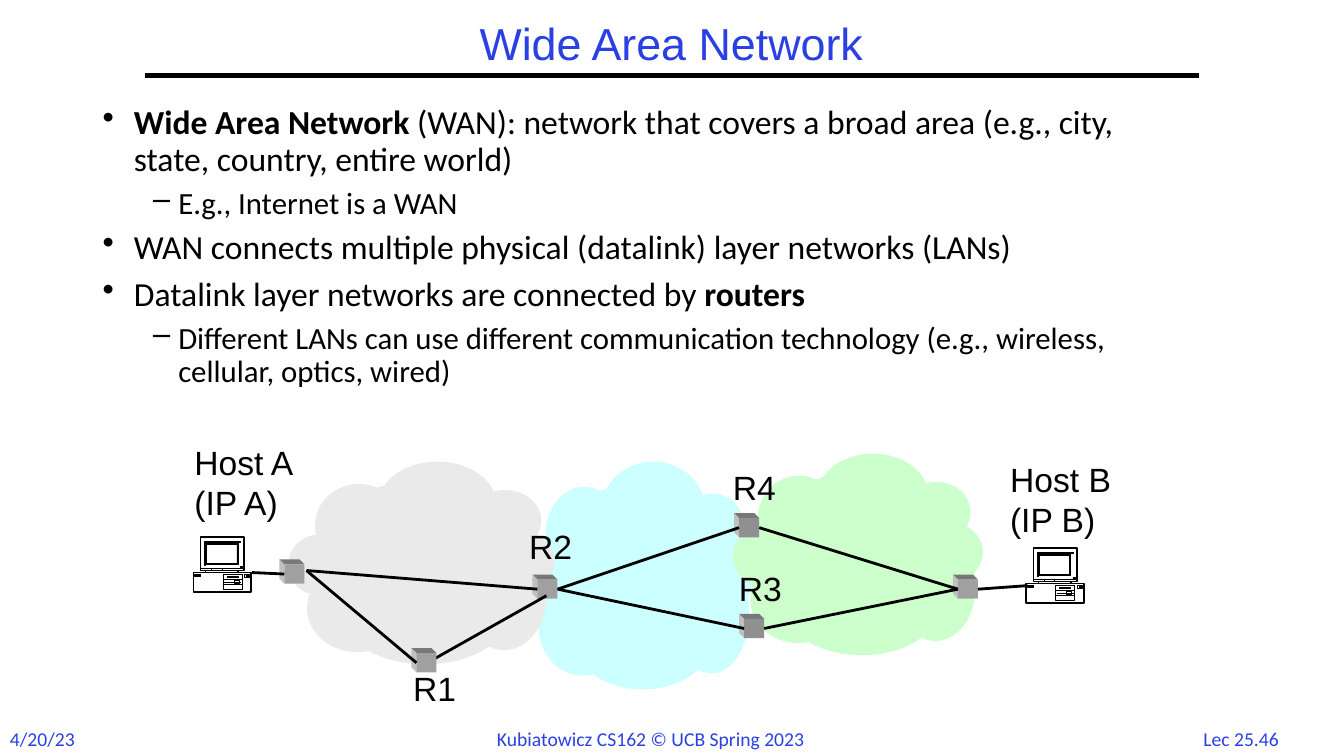
import pptx
import pptx.util
import pptx.dml.color
import pptx.enum.shapes
import pptx.enum.text
import pptx.oxml.ns
from dataclasses import dataclass
from lxml import etree

Inches = pptx.util.Inches
Pt = pptx.util.Pt
Kind = pptx.enum.shapes.MSO_SHAPE
Align = pptx.enum.text.PP_ALIGN
qn = pptx.oxml.ns.qn


@dataclass(frozen=True)
class Theme:
    blue: str = "2A40E2"
    black: str = "000000"
    white: str = "FFFFFF"
    gray: str = "EAEAEA"
    cyan: str = "CCFFFF"
    green: str = "CCFFCC"
    front: str = "A0A0A0"
    shade: str = "909090"
    top: str = "787878"
    side: str = "C0C0C0"
    head: int = 32
    label: int = 24
    levels: tuple = (24, 22)
    foot: int = 14
    sans: str = "Arial"
    text: str = "Calibri"


# Ellipses of a cloud as fractions of its box: left, top, width, height
PUFFS = [(.34, 0, .44, .41), (.1, .11, .33, .41), (0, .36, .23, .3),
         (.07, .51, .38, .43), (.22, .57, .59, .43), (.68, .14, .27, .3),
         (.68, .33, .32, .32), (.65, .4, .32, .53), (.07, .09, .89, .89)]


def box(left, top, right, base):
    return [(left, base), (right, base), (right, top), (left, top)]


# Parts of a computer, in hundredths of an inch from its corner
CASE = [[(12, 35), (0, 35), (0, 54), (57, 54), (57, 35), (44, 35), (44, 33),
         (50, 33), (50, 0), (7, 0), (7, 33), (12, 33)]]
DRIVE = [box(29, 37, 48, 52), box(50, 37, 52, 40)]
DARK = [box(46, 29, 48, 30), box(13, 7, 43, 26),
        [(12, 27), (44, 27), (44, 5), (46, 5), (46, 4), (11, 4), (11, 28), (12, 28)],
        box(1, 37, 7, 39), box(33, 39, 44, 40),
        box(53, 37, 55, 38), box(53, 39, 55, 40)]
SEAMS = [(12, 35, 44, 35), (12, 33, 44, 33)]
SLOTS = [(29, 42, 48, 42), (29, 47, 48, 47), (30, 45, 47, 45)]
EDGES = [(7, 31, 50, 31), (18, 31, 18, 33), (28, 31, 28, 33)]


class Deck:
    def __init__(self, theme):
        self.theme = theme
        self.file = pptx.Presentation()
        self.file.slide_width = Inches(13.33)
        self.file.slide_height = Inches(7.5)
        self.slide = self.file.slides.add_slide(self.file.slide_layouts[5])
        self.pen = self.slide.shapes

    def color(self, name):
        return pptx.dml.color.RGBColor.from_string(getattr(self.theme, name))

    def paint(self, shape, fill=None, width=None):
        shape.shadow.inherit = False
        if fill:
            shape.fill.solid()
            shape.fill.fore_color.rgb = self.color(fill)
        else:
            shape.fill.background()
        if width:
            shape.line.width = Pt(width)
            shape.line.color.rgb = self.color("black")
        else:
            shape.line.fill.background()
        return shape

    def shape(self, kind, place, fill=None, width=None):
        item = self.pen.add_shape(kind, *map(Inches, place))
        return self.paint(item, fill, width)

    def free(self, left, top, loops, fill, width=None):
        """Draw closed loops given in hundredths of an inch from left, top."""
        loops = [[(left * 100 + x, top * 100 + y) for x, y in loop] for loop in loops]
        form = self.pen.build_freeform(*loops[0][0], scale=Inches(0.01))
        for i, loop in enumerate(loops):
            if i:
                form.move_to(*loop[0])
            form.add_line_segments(loop[1:], close=True)
        return self.paint(form.convert_to_shape(), fill, width)

    def line(self, start, end, width=2):
        """Join two ends, each a point or a (shape, side) pair."""
        spots = [(0, 0) if hasattr(e[0], "left") else e for e in (start, end)]
        wire = self.pen.add_connector(pptx.enum.shapes.MSO_CONNECTOR.STRAIGHT,
                                      *(Inches(v) for spot in spots for v in spot))
        for e, join in ((start, wire.begin_connect), (end, wire.end_connect)):
            if hasattr(e[0], "left"):
                join(*e)
        wire.line.width = Pt(width)
        wire.line.color.rgb = self.color("black")
        etree.SubElement(wire._element.spPr, qn("a:effectLst"))

    def run(self, para, text, color="black", **form):
        run = para.add_run()
        run.text = text
        for key, value in form.items():
            setattr(run.font, key, value)
        run.font.color.rgb = self.color(color)

    def title(self, text, *place):
        head = self.slide.shapes.title
        head.left, head.top, head.width, head.height = map(Inches, place)
        frame = head.text_frame
        frame.auto_size = pptx.enum.text.MSO_AUTO_SIZE.NONE
        frame.vertical_anchor = pptx.enum.text.MSO_ANCHOR.MIDDLE
        para = frame.paragraphs[0]
        para.alignment, para.line_spacing = Align.CENTER, 0.9
        self.run(para, text, "blue", size=Pt(self.theme.head), name=self.theme.sans)

    def label(self, text, place, color="black", align=Align.LEFT, **form):
        frame = self.pen.add_textbox(*map(Inches, place)).text_frame
        frame.word_wrap = False
        for i, line in enumerate(text.split("\n")):
            para = frame.add_paragraph() if i else frame.paragraphs[0]
            para.alignment = align
            self.run(para, line, color, **form)

    def body(self, items, *place):
        """Write bullets, each a level and (text, bold) pieces."""
        frame = self.pen.add_textbox(*map(Inches, place)).text_frame
        frame.word_wrap = True
        for i, (level, *parts) in enumerate(items):
            para = frame.add_paragraph() if i else frame.paragraphs[0]
            size = self.theme.levels[level]
            left, hang, mark = ((0.31, 0.31, "•"), (0.75, 0.25, "–"))[level]
            props = para._p.get_or_add_pPr()
            props.set("marL", str(Inches(left)))
            props.set("indent", str(-Inches(hang)))
            etree.SubElement(props, qn("a:buChar")).set("char", mark)
            para.level, para.line_spacing = level, 0.9
            if i:
                para.space_before = Pt(0.3 * size)
            for text, bold in parts:
                self.run(para, text, size=Pt(size), name=self.theme.text, bold=bold)

    def group(self):
        self.pen = self.slide.shapes.add_group_shape().shapes

    def cloud(self, left, top, width, height, fill):
        self.group()
        for x, y, w, h in PUFFS:
            self.shape(Kind.OVAL, (left + x * width, top + y * height,
                                   w * width, h * height), fill)
        self.pen = self.slide.shapes

    def host(self, left, top):
        def rule(lines, width):
            for a, b, c, d in lines:
                self.line((left + a / 100, top + b / 100),
                          (left + c / 100, top + d / 100), width)

        self.group()
        self.free(left, top, CASE, "white", 1.25)
        rule(SEAMS, 1.25)
        self.free(left, top, DRIVE, "white", 0.38)
        rule(SLOTS, 0.38)
        self.shape(Kind.RECTANGLE, (left + 0.4, top + 0.43, 0.05, 0.03), None, 0.38)
        self.free(left, top, DARK, "black", 0.38)
        rule(EDGES, 0.38)
        self.pen = self.slide.shapes

    def router(self, left, top, fill="front"):
        """Draw a cube and return its front face."""
        self.free(left, top, [[(0, 0), (20, 0), (15, -5), (-5, -5)]], "top")
        self.free(left, top, [[(0, 0), (0, 19), (-5, 14), (-5, -5)]], "side")
        return self.shape(Kind.RECTANGLE, (left, top, 0.2, 0.19), fill)


def main():
    theme = Theme()
    deck = Deck(theme)
    deck.title("Wide Area Network", 1.44, 0.17, 10.44, 0.58)
    deck.line((1.44, 0.75), (11.89, 0.75), 3)
    for text, place, align in (
            ("Lec 25.46", (11.77, 7.16, 1.08, 0.34), Align.CENTER),
            ("4/20/23", (0, 7.16, 0.85, 0.34), Align.LEFT),
            ("Kubiatowicz CS162 © UCB Spring 2023", (4.83, 7.16, 3.68, 0.34), Align.LEFT)):
        deck.label(text, place, "blue", align, size=Pt(theme.foot), name=theme.text)
    deck.body([
        (0, ("Wide Area Network", True),
         (" (WAN): network that covers a broad area (e.g., city, state, country, "
          "entire world)", False)),
        (1, ("E.g., Internet is a WAN", False)),
        (0, ("WAN connects multiple physical (datalink) layer networks (LANs)", False)),
        (0, ("Datalink layer networks are connected by ", False), ("routers", True)),
        (1, ("Different LANs can use different communication technology (e.g., wireless, "
             "cellular, optics, wired)", False)),
    ], 0.92, 1, 10.67, 3.17)

    deck.cloud(5.18, 4.58, 2.32, 2.26, "cyan")
    deck.cloud(2.86, 4.58, 2.64, 2.01, "gray")
    deck.cloud(7.27, 4.5, 2.48, 2, "green")
    deck.host(1.92, 5.33)
    deck.host(10.18, 5.44)

    first = deck.router(2.82, 5.6)
    two = deck.router(5.33, 5.75)
    three = deck.router(7.38, 6.14, "shade")
    four = deck.router(7.33, 5.14, "shade")
    last = deck.router(9.5, 5.75)
    deck.line((4.23, 6.58), (5.42, 5.91))
    one = deck.router(4.13, 6.48)
    for start, end in (((2.5, 5.68), (first, 1)), ((3.04, 5.66), (two, 1)),
                       ((3.04, 5.66), (one, 1)), ((two, 3), (three, 1)),
                       ((two, 3), (four, 1)), ((three, 3), (last, 1)),
                       ((four, 3), (last, 1)), ((last, 3), (10.19, 5.81))):
        deck.line(start, end)

    for text, *place in (("Host A\n(IP A)", 1.83, 4.33, 1.2, 0.91),
                         ("Host B\n(IP B)", 9.92, 4.5, 1.3, 0.91),
                         ("R1", 4, 6.58, 0.63, 0.51), ("R2", 5.15, 5.17, 0.63, 0.51),
                         ("R3", 7.23, 5.58, 0.63, 0.51), ("R4", 7.17, 4.58, 0.63, 0.51)):
        deck.label(text, place, size=Pt(theme.label), name=theme.sans)
    deck.file.save("out.pptx")


if __name__ == "__main__":
    main()
